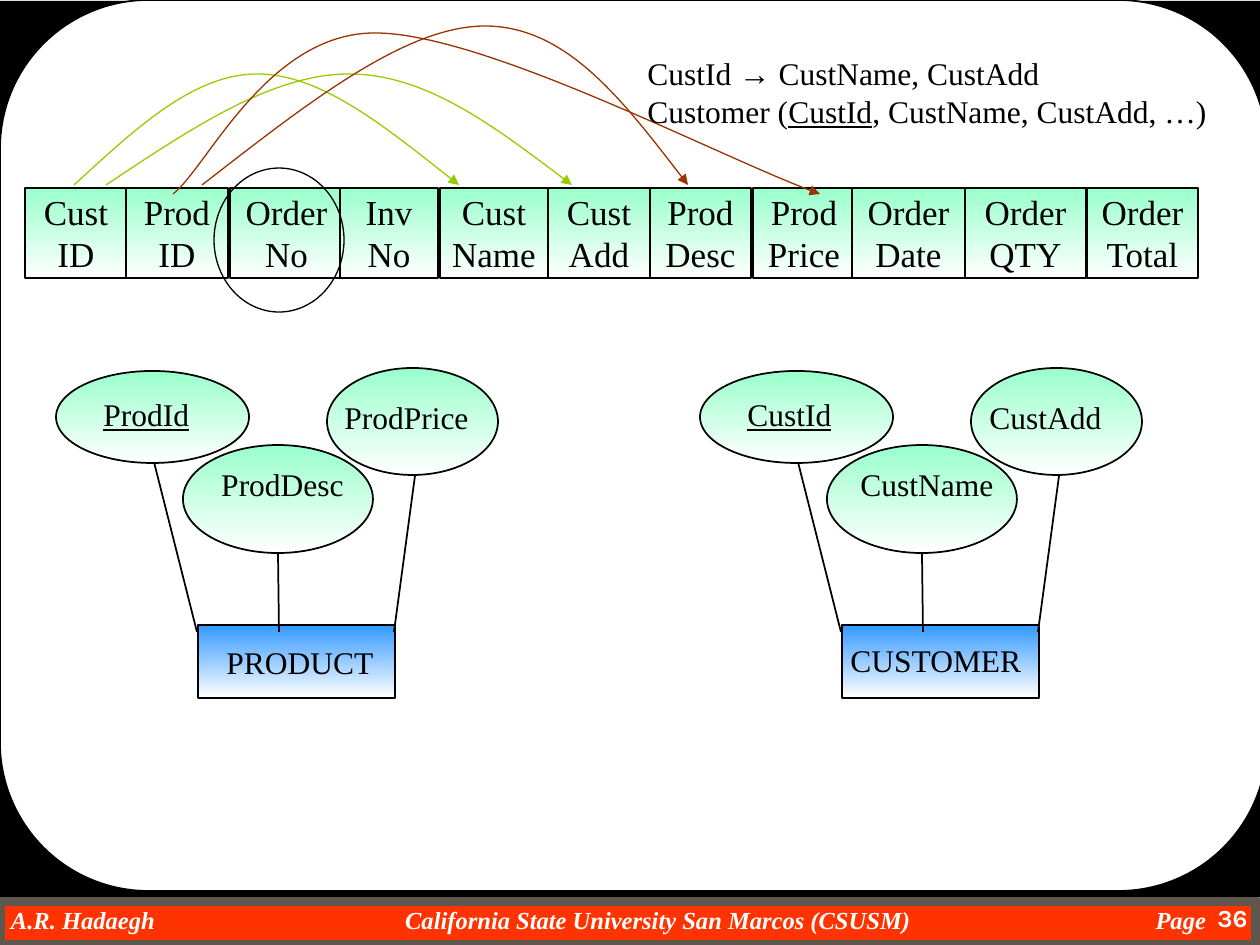
from dataclasses import dataclass

from lxml import etree
from pptx import Presentation, util as u
from pptx.dml.color import RGBColor
from pptx.enum import shapes, text
from pptx.oxml.ns import qn

BLACK = RGBColor(0x00, 0x00, 0x00)
WHITE = RGBColor(0xFF, 0xFF, 0xFF)
ORANGE = RGBColor(0xFF, 0x33, 0x00)
TAUPE = RGBColor(0x5E, 0x57, 0x4E)
MINT = RGBColor(0x99, 0xFF, 0xCC)
BLUE = RGBColor(0x33, 0x99, 0xFF)
LIME = RGBColor(0x99, 0xCC, 0x00)
BROWN = RGBColor(0x99, 0x33, 0x00)
SERIF = "Times New Roman"
RECT = shapes.MSO_SHAPE.RECTANGLE
OVAL = shapes.MSO_SHAPE.OVAL
LEFT = text.PP_ALIGN.LEFT
CENTER = text.PP_ALIGN.CENTER
RIGHT = text.PP_ALIGN.RIGHT


def px(n: int) -> u.Emu:
    return u.Emu(round(n * 914400 / 126))


@dataclass
class Box:
    x: int
    y: int
    w: int
    h: int

    def emu(self) -> list[u.Emu]:
        return [px(n) for n in (self.x, self.y, self.w, self.h)]


@dataclass
class Cell:
    text: str
    x: int
    w: int


@dataclass
class Curve:
    color: RGBColor
    points: list[tuple[int, int]]


@dataclass
class Label:
    text: str
    box: Box
    align: text.PP_ALIGN = LEFT
    spacing: float | None = None


@dataclass
class Entity:
    dx: int
    labels: list[Label]


def write(tf, content: str, size=18, font=SERIF, color=BLACK, bold=None, italic=None,
          align=LEFT, spacing=None, anchor=text.MSO_ANCHOR.TOP, wrap=False, margin=None):
    tf.word_wrap = wrap
    tf.vertical_anchor = anchor
    if margin is not None:
        tf.margin_left = tf.margin_right = tf.margin_top = tf.margin_bottom = px(margin)
    for i, row in enumerate(content.split("\n")):
        p = tf.paragraphs[0] if i == 0 else tf.add_paragraph()
        p.alignment = align
        p.line_spacing = spacing
        for j, part in enumerate(row.split("_")):
            if not part:
                continue
            r = p.add_run()
            r.text = part
            r.font.size = u.Pt(size)
            r.font.name = font
            r.font.color.rgb = color
            r.font.bold = bold
            r.font.italic = italic
            r.font.underline = True if j % 2 else None


def add_shape(parent, kind, box: Box, fill=None, fade=False, line=None, width=1.0):
    sp = parent.add_shape(kind, *box.emu())
    sp.shadow.inherit = False
    if fill is None:
        sp.fill.background()
    elif fade:
        sp.fill.gradient()
        sp.fill.gradient_angle = 270
        for stop, color in zip(sp.fill.gradient_stops, (fill, WHITE)):
            stop.color.rgb = color
    else:
        sp.fill.solid()
        sp.fill.fore_color.rgb = fill
    if line is None:
        sp.line.fill.background()
    else:
        sp.line.color.rgb = line
        sp.line.width = u.Pt(width)
    return sp


def add_text(parent, box: Box, content: str, **fmt):
    write(parent.add_textbox(*box.emu()).text_frame, content, **fmt)


def add_line(parent, x1: int, y1: int, x2: int, y2: int):
    cxn = parent.add_connector(shapes.MSO_CONNECTOR.STRAIGHT, px(x1), px(y1), px(x2), px(y2))
    cxn.line.color.rgb = BLACK
    cxn.line.width = u.Pt(1)
    etree.SubElement(cxn._element.spPr, qn("a:effectLst"))


def add_curve(parent, curve: Curve):
    (x, y), *rest = [(px(a), px(b)) for a, b in curve.points]
    fb = parent.build_freeform(x, y)
    fb.add_line_segments(rest, close=False)
    sp = fb.convert_to_shape()
    sp.shadow.inherit = False
    sp.fill.background()
    sp.line.color.rgb = curve.color
    sp.line.width = u.Pt(0.75)
    etree.SubElement(sp._element.spPr.find(qn("a:ln")), qn("a:tailEnd"), type="triangle")
    segments = list(sp._element.iter(qn("a:lnTo")))
    for i in range(0, len(segments), 3):
        bezier = etree.Element(qn("a:cubicBezTo"))
        segments[i].addprevious(bezier)
        for seg in segments[i:i + 3]:
            bezier.append(seg[0])
            seg.getparent().remove(seg)


def add_entity(parent, entity: Entity):
    grp = parent.add_group_shape().shapes
    dx = entity.dx
    add_shape(grp, RECT, Box(198 + dx, 625, 197, 73), BLUE, True, BLACK, 0.75)
    for x, y, w, h in OVALS:
        add_shape(grp, OVAL, Box(x + dx, y, w, h), MINT, True, BLACK)
    for x1, y1, x2, y2 in LINKS:
        add_line(grp, x1 + dx, y1, x2 + dx, y2)
    for lb in entity.labels:
        box = Box(lb.box.x + dx, lb.box.y, lb.box.w, lb.box.h)
        add_text(grp, box, lb.text, align=lb.align, spacing=lb.spacing, wrap=True)


FOOTER = [
    Label("A.R. Hadaegh", Box(11, 905, 300, 29)),
    Label("California State University San Marcos (CSUSM)", Box(358, 905, 600, 29), CENTER),
    Label("Page", Box(1106, 905, 100, 29), RIGHT),
]
CELLS = [
    Cell("Cust\nID", 25, 102), Cell("Prod\nID", 126, 102), Cell("Order\nNo", 230, 113),
    Cell("Inv\nNo", 340, 98), Cell("Cust\nName", 440, 108), Cell("Cust\nAdd", 548, 102),
    Cell("Prod\nDesc", 650, 101), Cell("Prod\nPrice", 753, 102), Cell("Order\nDate", 852, 113),
    Cell("Order\nQTY", 965, 121), Cell("Order\nTotal", 1087, 111),
]
CURVES = [
    Curve(LIME, [(74, 185), (134, 130), (193, 74), (257, 74), (321, 74), (389, 130), (459, 185)]),
    Curve(LIME, [(106, 185), (189, 130), (271, 74), (349, 74), (426, 74), (499, 130), (572, 185)]),
    Curve(BROWN, [(202, 185), (304, 106), (404, 26), (485, 26), (567, 26), (627, 106), (688, 185)]),
    Curve(BROWN, [(173, 194), (207, 168), (267, 33), (375, 33), (483, 33), (727, 161), (820, 194)]),
]
OVALS = [(56, 371, 193, 92), (183, 445, 190, 108), (327, 368, 171, 107)]
LINKS = [(154, 462, 197, 632), (278, 553, 279, 632), (415, 476, 394, 632)]
ENTITIES = [
    Entity(0, [
        Label("PRODUCT", Box(214, 637, 185, 50)),
        Label("_ProdId_", Box(91, 389, 125, 50)),
        Label("ProdDesc", Box(200, 466, 165, 43), CENTER, 0.8),
        Label("ProdPrice", Box(332, 392, 165, 50)),
    ]),
    Entity(644, [
        Label("CUSTOMER", Box(194, 635, 210, 50)),
        Label("_CustId_", Box(91, 389, 125, 50)),
        Label("CustName", Box(196, 466, 174, 43), CENTER, 0.8),
        Label("CustAdd", Box(333, 392, 150, 50)),
    ]),
]


def main():
    prs = Presentation()
    prs.slide_width, prs.slide_height = px(1260), px(945)
    s = prs.slides.add_slide(prs.slide_layouts[6]).shapes

    add_shape(s, RECT, Box(0, 901, 1256, 44), ORANGE, line=TAUPE, width=6)
    for lb in FOOTER:
        add_text(s, lb.box, lb.text, size=14, color=WHITE, bold=True, italic=True,
                 align=lb.align, wrap=True, margin=0)
    add_shape(s, RECT, Box(0, 1, 1260, 896), BLACK)
    add_shape(s, shapes.MSO_SHAPE.ROUNDED_RECTANGLE, Box(0, 0, 1267, 891), WHITE, line=BLACK)
    add_text(s, Box(1165, 897, 95, 48), "36", size=14, font="Karla", color=WHITE, bold=True,
             align=RIGHT, wrap=True)

    for c in CELLS:
        sp = add_shape(s, RECT, Box(c.x, 188, c.w, 90), MINT, True, BLACK)
        write(sp.text_frame, c.text, size=20, align=CENTER, anchor=text.MSO_ANCHOR.MIDDLE)
    for curve in CURVES:
        add_curve(s, curve)
    add_shape(s, OVAL, Box(214, 168, 130, 144), line=BLACK, width=0.75)
    add_text(s, Box(635, 48, 585, 88),
             "CustId → CustName, CustAdd\nCustomer (_CustId_, CustName, CustAdd, …)")
    for entity in ENTITIES:
        add_entity(s, entity)

    prs.save("out.pptx")


if __name__ == "__main__":
    main()
